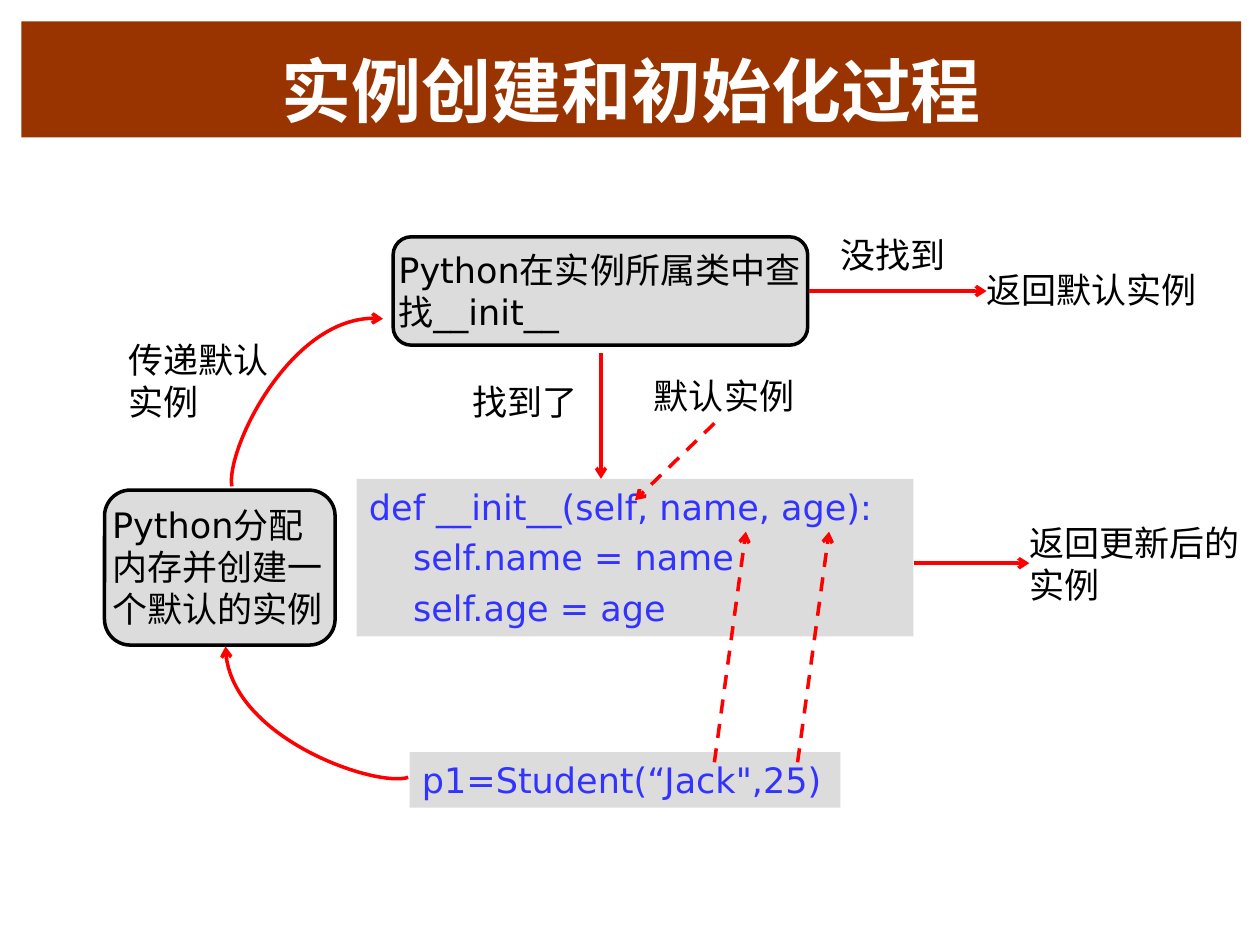
from dataclasses import dataclass

from lxml.etree import SubElement
from pptx import Presentation
from pptx.dml.color import RGBColor
from pptx.enum.dml import MSO_LINE
from pptx.enum.shapes import MSO_CONNECTOR, MSO_SHAPE
from pptx.enum.text import MSO_ANCHOR, MSO_AUTO_SIZE, PP_ALIGN
from pptx.oxml.ns import qn
from pptx.util import Inches, Pt


@dataclass(frozen=True)
class Theme:
    font: str = "DejaVu Sans"
    title_size: int = 40
    body_size: int = 20
    line_width: int = 2
    banner: RGBColor = RGBColor(0x99, 0x33, 0x00)
    title: RGBColor = RGBColor(0xFF, 0xFF, 0xFF)
    text: RGBColor = RGBColor(0x00, 0x00, 0x00)
    code: RGBColor = RGBColor(0x33, 0x33, 0xFF)
    arrow: RGBColor = RGBColor(0xFF, 0x00, 0x00)
    panel: RGBColor = RGBColor(0x77, 0x77, 0x77)
    panel_opacity: int = 25


THEME = Theme()


def style(p, color, size=THEME.body_size, align=PP_ALIGN.LEFT):
    p.alignment = align
    p.font.name = THEME.font
    p.font.size = Pt(size)
    p.font.color.rgb = color


def add_title(slide, text, box):
    s = slide.shapes.title
    s.left, s.top, s.width, s.height = map(Inches, box)
    s.fill.solid()
    s.fill.fore_color.rgb = THEME.banner
    tf = s.text_frame
    tf.text = text
    tf.auto_size = MSO_AUTO_SIZE.NONE
    tf.vertical_anchor = MSO_ANCHOR.BOTTOM
    p = tf.paragraphs[0]
    style(p, THEME.title, THEME.title_size, PP_ALIGN.CENTER)
    p.font.bold = True


def add_panel(slide, kind, box):
    s = slide.shapes.add_shape(kind, *map(Inches, box))
    s.shadow.inherit = False
    s.fill.solid()
    s.fill.fore_color.rgb = THEME.panel
    color = s._element.spPr.find(qn("a:solidFill"))[0]
    SubElement(color, qn("a:alpha"), val=str(THEME.panel_opacity * 1000))
    s.text_frame.word_wrap = True
    s.text_frame.vertical_anchor = MSO_ANCHOR.TOP
    return s


def add_step(slide, text, box):
    s = add_panel(slide, MSO_SHAPE.FLOWCHART_ALTERNATE_PROCESS, box)
    s.line.color.rgb = THEME.text
    s.line.width = Pt(THEME.line_width)
    tf = s.text_frame
    tf.margin_left = tf.margin_right = 0
    tf.text = text
    style(tf.paragraphs[0], THEME.text)


def add_code(slide, lines, box, space_before=0):
    s = add_panel(slide, MSO_SHAPE.RECTANGLE, box)
    s.line.fill.background()
    tf = s.text_frame
    tf.text = "\n".join(lines)
    for i, p in enumerate(tf.paragraphs):
        style(p, THEME.code)
        p.space_before = Pt(space_before)
        if i:
            p._p.get_or_add_pPr().set("marL", str(Inches(0.35)))


def add_label(slide, text, box):
    tf = slide.shapes.add_textbox(*map(Inches, box)).text_frame
    tf.word_wrap = True
    tf.margin_left = tf.margin_right = tf.margin_top = tf.margin_bottom = 0
    tf.text = text
    style(tf.paragraphs[0], THEME.text)


def style_arrow(s):
    s.line.color.rgb = THEME.arrow
    s.line.width = Pt(THEME.line_width)
    SubElement(s._element.spPr.find(qn("a:ln")), qn("a:tailEnd"), type="arrow")


def add_arrow(slide, start, end, dashed=False):
    s = slide.shapes.add_connector(
        MSO_CONNECTOR.STRAIGHT, *map(Inches, (*start, *end)))
    if dashed:
        s.line.dash_style = MSO_LINE.DASH
    style_arrow(s)
    SubElement(s._element.spPr, qn("a:effectLst"))


def add_curved_arrow(slide, *points):
    start, *rest = [(Inches(x), Inches(y)) for x, y in points]
    fb = slide.shapes.build_freeform(*start)
    fb.add_line_segments(rest, close=False)
    s = fb.convert_to_shape()
    segments = list(s._element.iter(qn("a:lnTo")))
    curve = SubElement(segments[0].getparent(), qn("a:cubicBezTo"))
    for segment in segments:
        curve.append(segment[0])
        segment.getparent().remove(segment)
    s.fill.background()
    style_arrow(s)
    s.shadow.inherit = False


def main():
    prs = Presentation()
    prs.slide_width, prs.slide_height = Inches(10), Inches(7.5)
    slide = prs.slides.add_slide(prs.slide_layouts[5])

    add_title(slide, "实例创建和初始化过程", (0.17, 0.17, 9.68, 0.92))
    add_code(slide, ["p1=Student(“Jack\",25)"], (3.25, 5.97, 3.42, 0.44))
    add_step(slide, "Python分配内存并创建一个默认的实例", (0.83, 3.89, 1.83, 1.23))
    add_step(slide, "Python在实例所属类中查找__init__", (3.12, 1.88, 3.29, 0.86))
    add_code(slide, ["def __init__(self, name, age):", "self.name = name",
                     "self.age = age"], (2.83, 3.8, 4.42, 1.25), 5)

    for text, box in (
        ("传递默认实例", (1.02, 2.69, 1.22, 0.67)),
        ("没找到", (6.67, 1.85, 0.92, 0.34)),
        ("返回默认实例", (7.83, 2.13, 1.83, 0.34)),
        ("找到了", (3.75, 3.02, 0.92, 0.34)),
        ("默认实例", (5.19, 2.97, 1.19, 0.34)),
        ("返回更新后的实例", (8.17, 4.14, 1.83, 0.67)),
    ):
        add_label(slide, text, box)

    add_curved_arrow(slide, (3.24, 6.17), (2.98, 6.25), (1.79, 5.84), (1.79, 5.13))
    add_curved_arrow(slide, (1.84, 3.86), (1.79, 3.58), (2.33, 2.45), (3.04, 2.53))
    for start, end in (
        ((6.42, 2.31), (7.83, 2.31)),
        ((4.77, 2.8), (4.77, 3.8)),
        ((7.25, 4.47), (8.17, 4.47)),
    ):
        add_arrow(slide, start, end)
    for start, end in (
        ((5.67, 3.36), (5.04, 3.97)),
        ((5.67, 6.05), (5.92, 4.22)),
        ((6.33, 6.05), (6.58, 4.22)),
    ):
        add_arrow(slide, start, end, dashed=True)

    prs.save("out.pptx")


if __name__ == "__main__":
    main()
